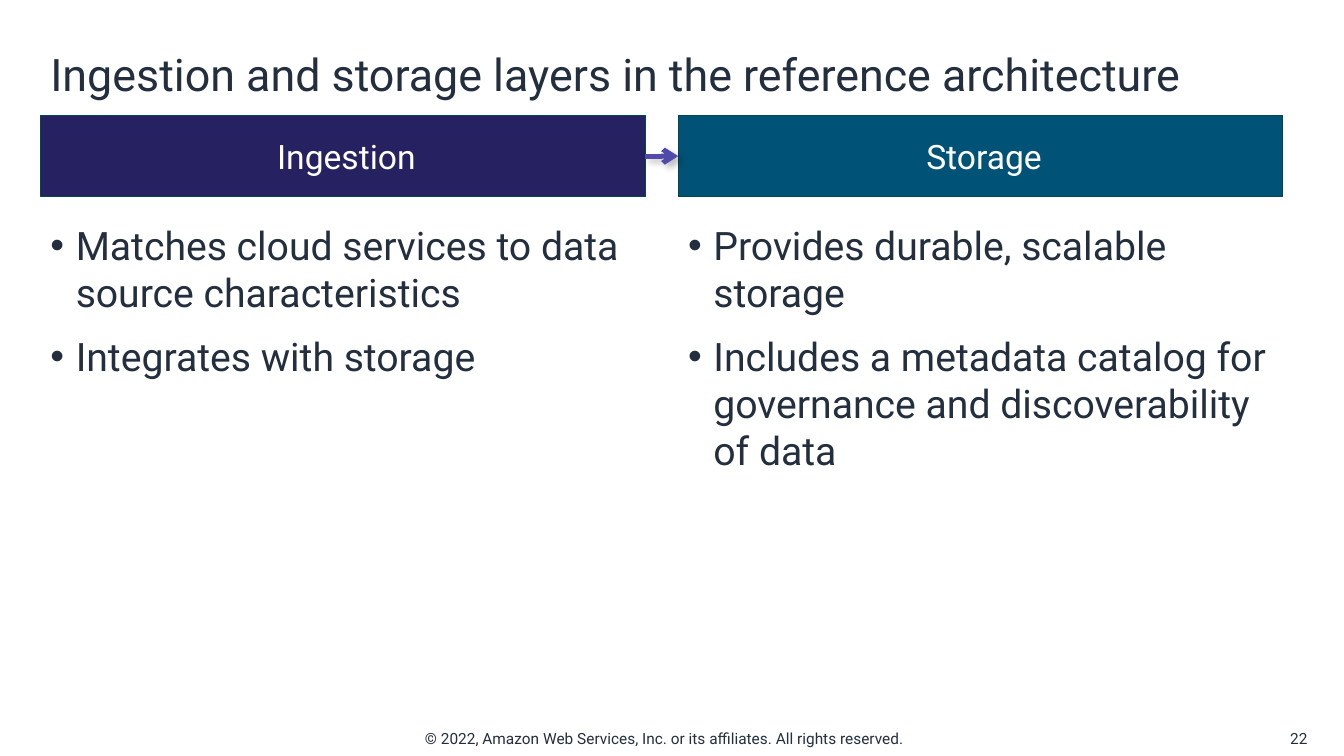
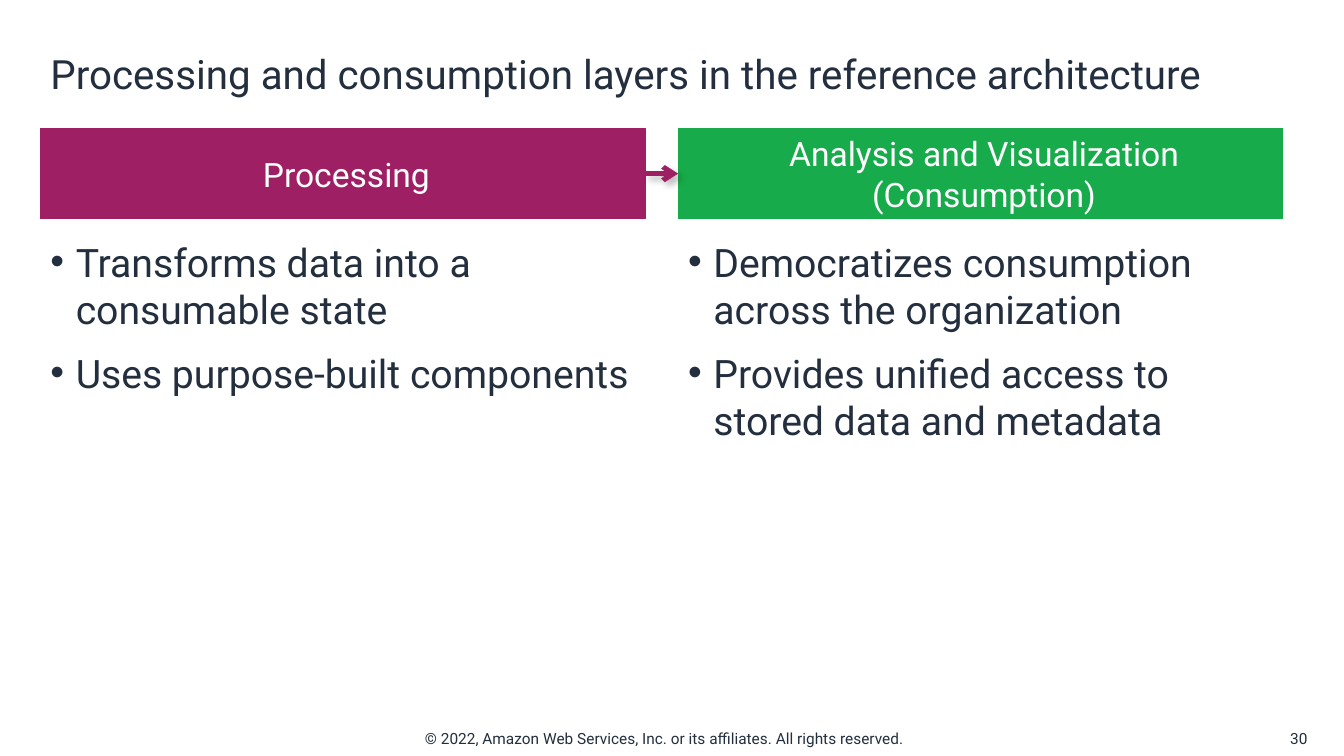
from lxml.etree import SubElement
from pptx import Presentation
from pptx.dml.color import RGBColor
from pptx.enum.shapes import MSO_CONNECTOR, MSO_SHAPE
from pptx.enum.text import MSO_ANCHOR, PP_ALIGN
from pptx.oxml.ns import qn
from pptx.util import Cm, Pt

FONT = "Roboto"
INK = "232F3E"
WHITE = "FFFFFF"

# Shared grid, in centimetres
SLIDE_WIDTH, SLIDE_HEIGHT = 33.87, 19.05
MARGIN = 1.02
COLUMN_WIDTH = 15.24
COLUMN_GAP = 0.83
BODY_HEIGHT = 11.38
TITLE_BOX = (MARGIN, 0.84, 32.13, 2.03)
FOOTER_BOX = (10.46, 18.24, 12.93, 0.74)
NUMBER_BOX = (31.85, 18.24, 1.35, 0.74)
FOOTER = "© 2022, Amazon Web Services, Inc. or its affiliates. All rights reserved."

SLIDES = [
    {
        "title": "Ingestion and storage layers in the reference architecture",
        "title_size": 32,
        "number": "22",
        "header_top": 2.92,
        "header_height": 2.03,
        "body_top": 5.46,
        "arrow_color": "504BAB",
        "columns": [
            {"name": "Ingestion", "fill": "262262", "line": "00464F",
             "points": ["Matches cloud services to data source characteristics",
                        "Integrates with storage"]},
            {"name": "Storage", "fill": "005276", "line": "00464F",
             "points": ["Provides durable, scalable storage",
                        "Includes a metadata catalog for governance and "
                        "discoverability of data"]},
        ],
    },
    {
        "title": "Processing and consumption layers in the reference architecture",
        "title_size": 28.8,
        "number": "30",
        "header_top": 3.23,
        "header_height": 2.29,
        "body_top": 5.87,
        "arrow_color": "9E1F63",
        "columns": [
            {"name": "Processing", "fill": "9E1F63", "line": "9E1F63",
             "points": ["Transforms data into a consumable state",
                        "Uses purpose-built components"]},
            {"name": "Analysis and Visualization (Consumption)",
             "fill": "18AB4B", "line": "18AB4B",
             "points": ["Democratizes consumption across the organization",
                        "Provides unified access to stored data and metadata"]},
        ],
    },
]


def color(hex_value):
    return RGBColor.from_string(hex_value)


def set_attributes(target, values):
    for name, value in values.items():
        setattr(target, name, value)


def style_paragraph(paragraph, size, hex_value, **paragraph_format):
    set_attributes(paragraph, paragraph_format)
    set_attributes(paragraph.font, {"name": FONT, "size": Pt(size)})
    paragraph.font.color.rgb = color(hex_value)


def set_indent(paragraph, left, first_line=0):
    properties = paragraph._p.get_or_add_pPr()
    properties.set("marL", str(Cm(left)))
    properties.set("indent", str(Cm(first_line)))
    return properties


def add_text(slide, box, lines, size, anchor=MSO_ANCHOR.TOP, bullets=False,
             **paragraph_format):
    shape = slide.shapes.add_textbox(*map(Cm, box))
    frame = shape.text_frame
    set_attributes(frame, {"word_wrap": True, "vertical_anchor": anchor})
    frame.text = "\n".join(lines)
    for paragraph in frame.paragraphs:
        if bullets:
            properties = set_indent(paragraph, 0.64, -0.64)
            SubElement(properties, qn("a:buFont")).set("typeface", "Arial")
            SubElement(properties, qn("a:buChar")).set("char", "•")
        style_paragraph(paragraph, size, INK, **paragraph_format)


def add_header(slide, box, column):
    shape = slide.shapes.add_shape(MSO_SHAPE.RECTANGLE, *map(Cm, box))
    shape.shadow.inherit = False
    shape.fill.solid()
    shape.fill.fore_color.rgb = color(column["fill"])
    shape.line.color.rgb = color(column["line"])
    shape.line.width = Pt(0.75)
    frame = shape.text_frame
    set_attributes(frame, {"word_wrap": True, "vertical_anchor": MSO_ANCHOR.MIDDLE})
    frame.text = column["name"]
    paragraph = frame.paragraphs[0]
    set_indent(paragraph, 0.18)
    style_paragraph(paragraph, 24, WHITE, alignment=PP_ALIGN.CENTER)
    return shape


def add_arrow(slide, start, end, hex_value):
    arrow = slide.shapes.add_connector(MSO_CONNECTOR.STRAIGHT, 0, 0, 0, 0)
    arrow.begin_connect(start, 3)
    arrow.end_connect(end, 1)
    arrow.line.color.rgb = color(hex_value)
    arrow.line.width = Pt(3.5)
    properties = arrow.element.spPr
    SubElement(properties.find(qn("a:ln")), qn("a:tailEnd")).set("type", "arrow")
    # Soft shadow, down and to the right
    effects = SubElement(properties, qn("a:effectLst"))
    shadow = SubElement(effects, qn("a:outerShdw"), blurRad=str(Pt(5)),
                        dist=str(Pt(4.2)), dir="2700000", algn="tl",
                        rotWithShape="0")
    shade = SubElement(shadow, qn("a:srgbClr"), val="000000")
    SubElement(shade, qn("a:alpha"), val="25000")


def add_column(slide, box, header_height, body_top, column):
    left, top, width = box
    header = add_header(slide, (left, top, width, header_height), column)
    add_text(slide, (left, body_top, width, BODY_HEIGHT), column["points"], 28,
             bullets=True, space_after=Pt(12))
    return header


def add_frame(slide, content):
    # Footer, slide number and title
    add_text(slide, FOOTER_BOX, [FOOTER], 11)
    add_text(slide, NUMBER_BOX, [content["number"]], 11, MSO_ANCHOR.MIDDLE,
             alignment=PP_ALIGN.RIGHT)
    add_text(slide, TITLE_BOX, [content["title"]], content["title_size"],
             MSO_ANCHOR.MIDDLE)


def add_layers_slide(presentation, content):
    slide = presentation.slides.add_slide(presentation.slide_layouts[6])
    add_frame(slide, content)
    # Two columns joined by an arrow
    headers = []
    for index, column in enumerate(content["columns"]):
        left = MARGIN + index * (COLUMN_WIDTH + COLUMN_GAP)
        headers.append(add_column(
            slide, (left, content["header_top"], COLUMN_WIDTH),
            content["header_height"], content["body_top"], column))
    add_arrow(slide, *headers, content["arrow_color"])


def main():
    presentation = Presentation()
    set_attributes(presentation, {"slide_width": Cm(SLIDE_WIDTH),
                                  "slide_height": Cm(SLIDE_HEIGHT)})
    for content in SLIDES:
        add_layers_slide(presentation, content)
    presentation.save("out.pptx")


if __name__ == "__main__":
    main()
